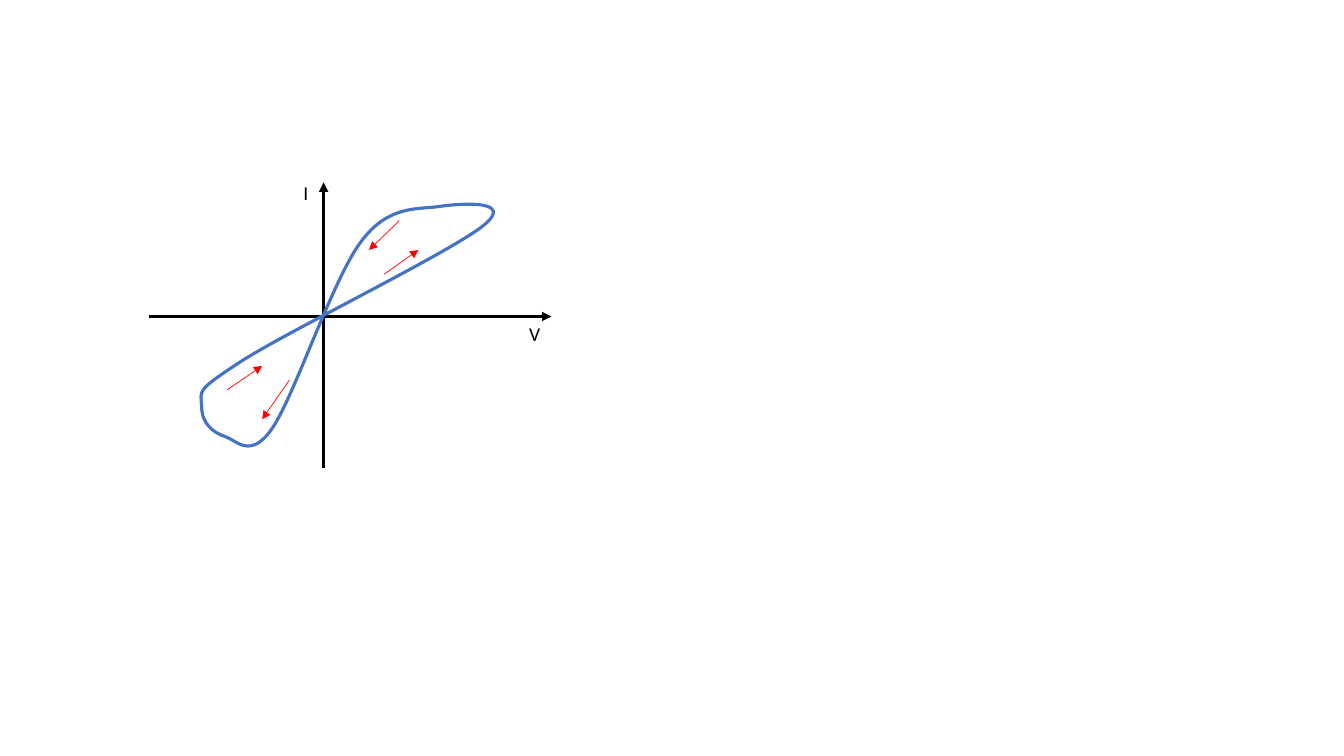
import lxml.etree
import pptx
import pptx.dml.color
import pptx.enum.shapes
import pptx.enum.text
import pptx.oxml.ns
import pptx.util

Inches = pptx.util.Inches
qn = pptx.oxml.ns.qn
BLACK, BLUE, RED = "000000", "4472C4", "FF0000"

# Offsets in inches from the crossing of the axes, y pointing down
AXES = [((0, 1.5), (0, -1.33)), ((-1.73, 0), (2.26, 0))]
SWEEPS = [((-0.34, 0.63), (-0.61, 1.02)), ((0.75, -0.95), (0.45, -0.66)),
          ((0.6, -0.42), (0.94, -0.66)), ((-0.96, 0.73), (-0.61, 0.49))]
LABELS = [("I", -0.3, -1.39, 0.25), ("V", 1.94, 0, 0.31)]
LOOP_BOX = (-1.22, -1.11, 2.9, 2.4)
LOOP_START = (-1.21, 0.89)
LOOP_CURVES = [
    ((-1.21, 1.06), (-1.1, 1.15), (-0.98, 1.19)),
    ((-0.87, 1.22), (-0.73, 1.43), (-0.51, 1.11)),
    ((-0.29, 0.79), (0.09, -0.37), (0.37, -0.74)),
    ((0.64, -1.11), (0.94, -1.06), (1.14, -1.09)),
    ((1.34, -1.12), (1.93, -1.17), (1.57, -0.89)),
    ((1.2, -0.61), (-0.34, 0.14), (-0.81, 0.44)),
    ((-1.27, 0.74), (-1.22, 0.73), LOOP_START),
]


def rgb(value):
    return pptx.dml.color.RGBColor.from_string(value)


def set_all(obj, values):
    for name, value in values.items():
        setattr(obj, name, value)


def set_line(sp, color, width):
    sp.line.color.rgb = rgb(color)
    sp.line.width = pptx.util.Pt(width)


def add_arrow(shapes, start, end, color, width):
    sp = shapes.add_connector(pptx.enum.shapes.MSO_CONNECTOR.STRAIGHT, *start, *end)
    set_line(sp, color, width)
    spPr = sp._element.spPr
    lxml.etree.SubElement(spPr.find(qn("a:ln")), qn("a:tailEnd"), type="triangle")
    lxml.etree.SubElement(spPr, qn("a:effectLst"))


def add_label(shapes, text, left, top, width):
    sp = shapes.add_textbox(left, top, Inches(width), Inches(0.34))
    tf = sp.text_frame
    set_all(tf, {"word_wrap": False,
                 "auto_size": pptx.enum.text.MSO_AUTO_SIZE.SHAPE_TO_FIT_TEXT})
    r = tf.paragraphs[0].add_run()
    r.text = text
    set_all(r.font, {"name": "Calibri", "size": pptx.util.Pt(14)})
    r.font.color.rgb = rgb(BLACK)


def add_loop(shapes, at):
    # The box corners fix the extent, then Bezier curves become the outline
    x, y, w, h = LOOP_BOX
    builder = shapes.build_freeform(*at((x, y)))
    builder.add_line_segments([at((x + w, y)), at((x + w, y + h)), at((x, y + h))])
    sp = builder.convert_to_shape()
    outline = sp._element.spPr.find(".//" + qn("a:path"))
    for child in list(outline):
        outline.remove(child)
    steps = [("a:moveTo", [LOOP_START])]
    steps += [("a:cubicBezTo", curve) for curve in LOOP_CURVES] + [("a:close", [])]
    for tag, points in steps:
        step = lxml.etree.SubElement(outline, qn(tag))
        for px, py in points:
            lxml.etree.SubElement(step, qn("a:pt"), x=str(int(Inches(px - x))),
                                  y=str(int(Inches(py - y))))
    sp.fill.background()
    sp.shadow.inherit = False
    set_line(sp, BLUE, 2.25)


def add_iv_plot(slide, left, top):
    shapes = slide.shapes.add_group_shape().shapes

    def at(point):
        return Inches(left + 1.73 + point[0]), Inches(top + 1.39 + point[1])

    # Axes
    for start, end in AXES:
        add_arrow(shapes, at(start), at(end), BLACK, 2.25)

    # Hysteresis loop
    add_loop(shapes, at)

    # Sweep directions
    for start, end in SWEEPS:
        add_arrow(shapes, at(start), at(end), RED, 0.5)

    # Axis labels
    for text, x, y, width in LABELS:
        add_label(shapes, text, *at((x, y)), width)


prs = pptx.Presentation()
set_all(prs, {"slide_width": Inches(13.33), "slide_height": Inches(7.5)})
s = prs.slides.add_slide(prs.slide_layouts[6])
add_iv_plot(s, 1.48, 1.75)
prs.save("out.pptx")
